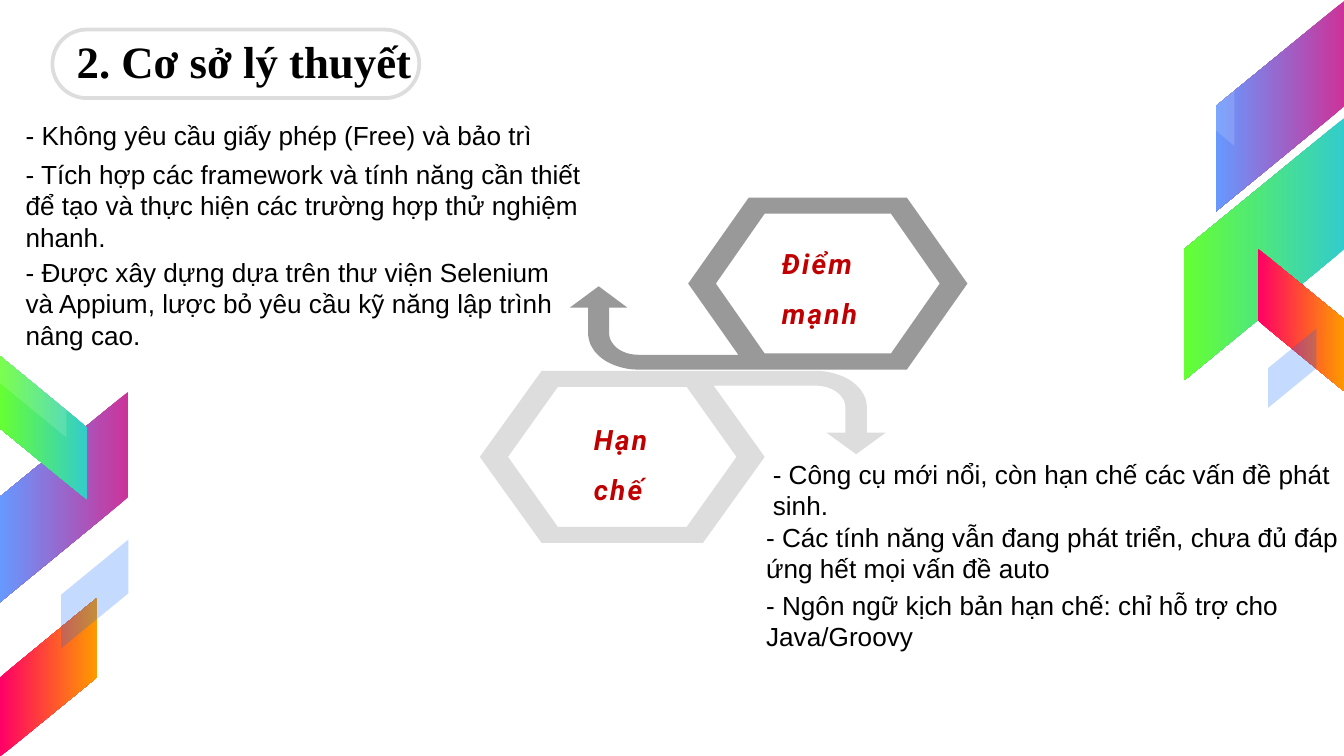
"""Build the slide on strengths and limitations of the test tool."""
import math

from lxml import etree
from pptx import Presentation
from pptx.dml.color import RGBColor
from pptx.enum.shapes import MSO_SHAPE
from pptx.enum.text import MSO_ANCHOR, MSO_AUTO_SIZE, PP_ALIGN
from pptx.oxml.ns import qn
from pptx.util import Inches, Pt

PARALLELOGRAM = MSO_SHAPE.PARALLELOGRAM
ROUNDED = MSO_SHAPE.ROUNDED_RECTANGLE
MIDDLE, TOP = MSO_ANCHOR.MIDDLE, MSO_ANCHOR.TOP
LEFT = PP_ALIGN.LEFT
NO_AUTOFIT = MSO_AUTO_SIZE.NONE
TWO_CONTENT = 3
UNITS = 1000

COLORS = {
    "white": "FFFFFF", "black": "000000", "light": "DDDDDD", "gray": "999999",
    "label": "C00000", "pink": "CC3399", "blue": "6699FF", "teal": "33CCCC",
    "green": "66FF33", "red": "FF0066", "orange": "FF9900", "azure": "0066FF",
}
VIOLET, LIME, FLAME = ("pink", "blue"), ("teal", "green"), ("red", "orange")
GLINT, HAZE = ("white", 14), ("azure", 23)

RIBBONS = [
    ((8.74, 0.31, 1.57, 0.96), 90, True, VIOLET),
    ((8.43, 1.26, 1.95, 1.19), 90, True, LIME),
    ((9.15, 2.06, 1.06, 0.64), 270, False, FLAME),
    ((8.51, 0.41, 0.84, 0.51), 270, False, GLINT),
    ((9.32, 2.56, 0.59, 0.36), 270, True, HAZE),
    ((-0.31, 3.22, 1.57, 0.96), 90, True, VIOLET),
    ((-0.21, 2.86, 1.07, 0.65), 90, False, LIME),
    ((-0.23, 4.68, 1.18, 0.72), 270, True, FLAME),
    ((-0.16, 2.6, 0.81, 0.5), 270, False, GLINT),
    ((0.3, 4.17, 0.81, 0.5), 270, True, HAZE),
]
STRENGTHS = [
    ("- Không yêu cầu giấy phép (Free) và bảo trì", 0, 0),
    ("- Tích hợp các framework và tính năng cần thiết để tạo và thực hiện "
     "các trường hợp thử nghiệm nhanh.", 4, 0),
    ("- Được xây dựng dựa trên thư viện Selenium và Appium, lược bỏ yêu cầu "
     "kỹ năng lập trình nâng cao.", 2, 0),
]
LIMITATIONS = [
    ("- Công cụ mới nổi, còn hạn chế các vấn đề phát sinh.", 0, 0.05),
    ("- Các tính năng vẫn đang phát triển, chưa đủ đáp ứng hết mọi vấn đề auto", 0, 0),
    ("- Ngôn ngữ kịch bản hạn chế: chỉ hỗ trợ cho Java/Groovy", 3, 0),
]


def color(name):
    """Return the named colour."""
    return RGBColor.from_string(COLORS[name])


def place(shape, left, top, width, height):
    """Move and size a shape, in inches."""
    shape.left, shape.top = Inches(left), Inches(top)
    shape.width, shape.height = Inches(width), Inches(height)


def set_font(para, name, size, tint, bold=False, italic=False):
    """Format the font of a paragraph."""
    font = para.font
    font.name, font.size, font.bold, font.italic = name, Pt(size), bold, italic
    font.color.rgb = color(tint)


def paint(shape, name):
    """Give a shape a plain fill without outline or shadow."""
    shape.fill.solid()
    shape.fill.fore_color.rgb = color(name)
    shape.line.fill.background()
    shape.shadow.inherit = False


def add_ribbon(slide, frame, rotation, flipped, finish):
    """Add a slanted ribbon, either gradient or see-through."""
    ribbon = slide.shapes.add_shape(PARALLELOGRAM, *map(Inches, frame))
    ribbon.rotation = rotation
    ribbon.adjustments[0] = 0.819
    properties = ribbon._element.spPr
    if flipped:
        properties.find(qn("a:xfrm")).set("flipH", "1")
    first, second = finish
    paint(ribbon, first)
    if isinstance(second, str):
        ribbon.fill.gradient()
        ribbon.fill.gradient_angle = 270
        for stop, name, position in zip(ribbon.fill.gradient_stops, finish, (0, 1)):
            stop.color.rgb = color(name)
            stop.position = position
    else:
        tint = properties.find(qn("a:solidFill")).find(qn("a:srgbClr"))
        etree.SubElement(tint, qn("a:alpha")).set("val", str(second * 1000))


def arc(center_x, center_y, radius_x, radius_y, start, end):
    """Return points along an elliptic arc, angles in degrees."""
    steps = 16
    angles = [math.radians(start + (end - start) * i / steps) for i in range(steps + 1)]
    return [(center_x + radius_x * math.cos(a), center_y + radius_y * math.sin(a))
            for a in angles]


def hexagon(half_width, half_side, half_height):
    """Return hexagon corners, clockwise from the right end of the top side."""
    return [(half_side, -half_height), (half_width, 0), (half_side, half_height),
            (-half_side, half_height), (-half_width, 0), (-half_side, -half_height)]


def add_hexagon_arrow(slide, center_x, center_y, scale_x, scale_y, tint):
    """Add a hexagonal ring whose top side runs on into a bent arrow."""
    arrow = arc(1.44, -0.37, 0.38, 0.27, -90, 0)
    arrow += [(1.82, -0.18), (1.96, -0.18), (1.74, -0.02), (1.52, -0.18), (1.66, -0.18)]
    arrow += arc(1.44, -0.37, 0.22, 0.16, 0, -90) + [(0.68, -0.53)]
    outline = arrow + hexagon(1.06, 0.6, 0.64)[1:]
    opening = hexagon(0.85, 0.48, 0.52)[::-1]
    contours = [[((center_x + x * scale_x) * UNITS, (center_y + y * scale_y) * UNITS)
                 for x, y in contour] for contour in (outline, opening)]
    builder = slide.shapes.build_freeform(*contours[0][0], scale=Inches(1) / UNITS)
    builder.add_line_segments(contours[0][1:], close=True)
    builder.move_to(*contours[1][0])
    builder.add_line_segments(contours[1][1:], close=True)
    paint(builder.convert_to_shape(), tint)


def add_label(slide, text, *frame):
    """Add a spaced-out label inside a hexagon."""
    box = slide.shapes.add_textbox(*map(Inches, frame))
    box.text_frame.word_wrap = True
    para = box.text_frame.paragraphs[0]
    para.line_spacing = 1.5
    set_font(para, "Roboto", 15, "label", bold=True, italic=True)
    span = para.add_run()
    span.text = text
    span._r.get_or_add_rPr().set("spc", "120")


def fill_title(slide, text):
    """Write the title over a rounded frame."""
    pill = slide.shapes.add_shape(ROUNDED, *map(Inches, (0.39, 0.22, 2.73, 0.51)))
    pill.adjustments[0] = 0.5
    paint(pill, "white")
    pill.line.color.rgb = color("light")
    pill.line.width = Pt(2)
    title = slide.shapes.title
    place(title, 0.47, 0.22, 2.65, 0.51)
    frame = title.text_frame
    frame.text = text
    frame.auto_size, frame.vertical_anchor = NO_AUTOFIT, MIDDLE
    frame.margin_right = 0
    para = frame.paragraphs[0]
    para.alignment, para.line_spacing = LEFT, 0.9
    set_font(para, "Times New Roman", 24, "black", bold=True)
    slide.shapes._spTree.append(title._element)


def fill_list(body, items, *frame):
    """Write dashed points into a body placeholder."""
    place(body, *frame)
    text_frame = body.text_frame
    text_frame.auto_size, text_frame.vertical_anchor = NO_AUTOFIT, TOP
    text_frame.margin_right = 0
    text_frame.text = "\n".join(text for text, _, _ in items)
    for para, (_, gap, indent) in zip(text_frame.paragraphs, items):
        para.space_before = Pt(gap)
        set_font(para, "Arial", 14, "black")
        properties = para._p.get_or_add_pPr()
        properties.set("marL", str(Inches(indent)))
        properties.set("indent", "0")
        bullet = etree.Element(qn("a:buNone"))
        properties.find(qn("a:defRPr")).addprevious(bullet)


def main():
    """Build and save the deck."""
    deck = Presentation()
    deck.slide_width = Inches(10)
    deck.slide_height = deck.slide_width * 9 // 16
    slide = deck.slides.add_slide(deck.slide_layouts[TWO_CONTENT])
    for ribbon in RIBBONS:
        add_ribbon(slide, *ribbon)
    fill_title(slide, "2. Cơ sở lý thuyết")
    add_hexagon_arrow(slide, 6.16, 2.11, -0.98, -1, "gray")
    add_hexagon_arrow(slide, 4.63, 3.4, 1, 1, "light")
    add_label(slide, "Điểm mạnh", 5.72, 1.66, 0.94, 0.8)
    add_label(slide, "Hạn chế", 4.32, 2.97, 0.93, 0.74)
    fill_list(slide.placeholders[1], STRENGTHS, 0.09, 0.84, 4.24, 1.84)
    fill_list(slide.placeholders[2], LIMITATIONS, 5.6, 3.36, 4.4, 1.55)
    deck.save("out.pptx")


main()
